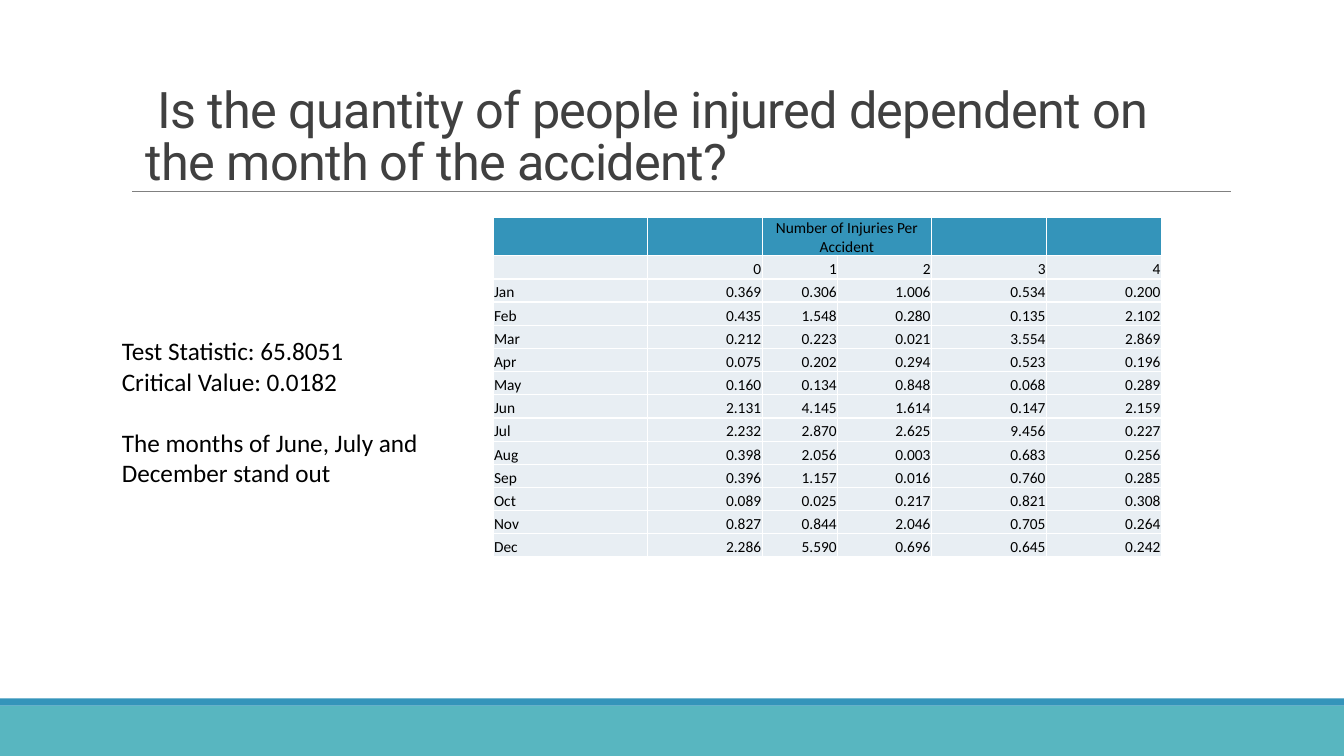
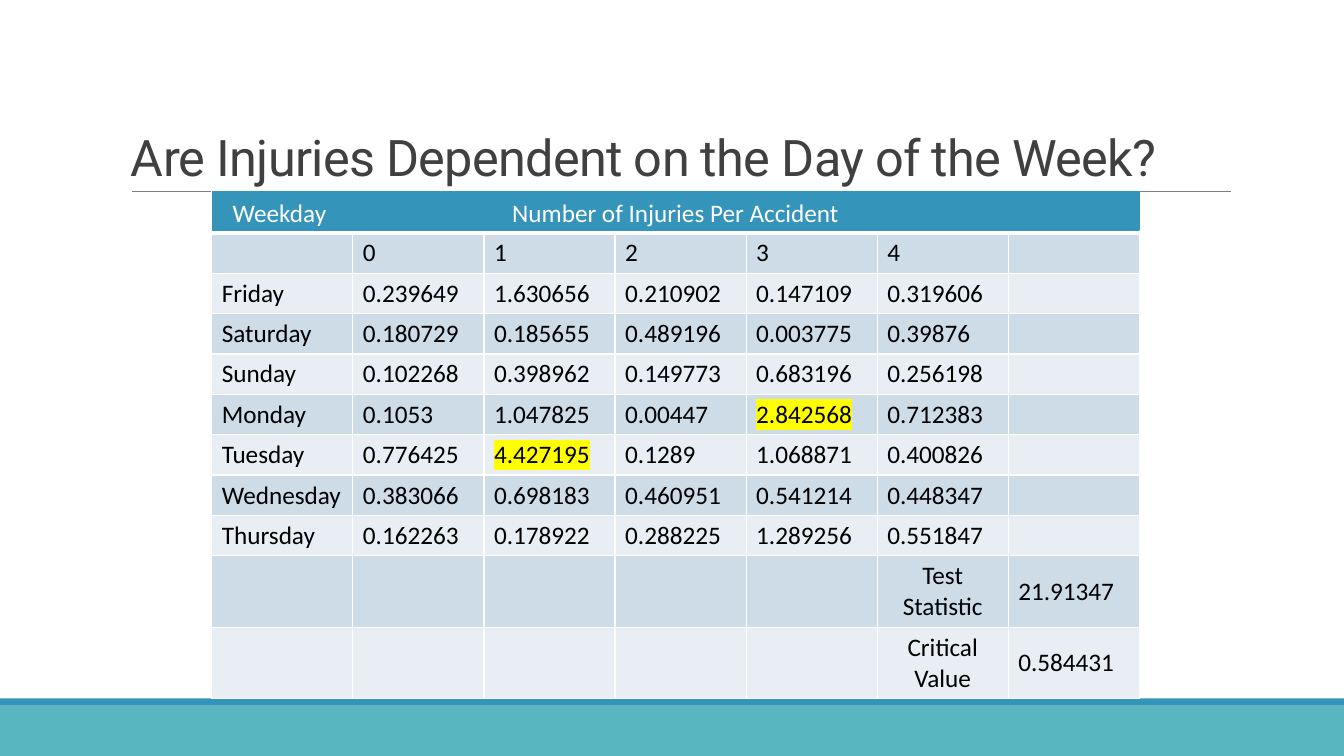
from lxml.etree import SubElement
from pptx import Presentation
from pptx.dml.color import RGBColor
from pptx.enum.shapes import MSO_CONNECTOR, MSO_SHAPE
from pptx.enum.text import MSO_ANCHOR, PP_ALIGN
from pptx.oxml.ns import qn
from pptx.util import Inches, Pt

WHITE = RGBColor(0xFF, 0xFF, 0xFF)
BLACK = RGBColor(0x00, 0x00, 0x00)
TITLE_GRAY = RGBColor(0x40, 0x40, 0x40)
RULE_GRAY = RGBColor(0x80, 0x80, 0x80)
BLUE = RGBColor(0x34, 0x94, 0xBA)
TEAL = RGBColor(0x58, 0xB6, 0xC0)
LIGHT_BAND = RGBColor(0xE8, 0xEE, 0xF3)
DARK_BAND = RGBColor(0xCE, 0xDC, 0xE7)
YELLOW = RGBColor(0xFF, 0xFF, 0x00)

TITLE_FONT = "Roboto"
BODY_FONT = "Calibri"
SLIDE_WIDTH = 13.33
SLIDE_HEIGHT = 7.5
INJURY_HEADING = "Number of Injuries Per Accident"

MONTH_ROWS = [
    ["", "", INJURY_HEADING, "", "", ""],
    ["", "0", "1", "2", "3", "4"],
    ["Jan", "0.369", "0.306", "1.006", "0.534", "0.200"],
    ["Feb", "0.435", "1.548", "0.280", "0.135", "2.102"],
    ["Mar", "0.212", "0.223", "0.021", "3.554", "2.869"],
    ["Apr", "0.075", "0.202", "0.294", "0.523", "0.196"],
    ["May", "0.160", "0.134", "0.848", "0.068", "0.289"],
    ["Jun", "2.131", "4.145", "1.614", "0.147", "2.159"],
    ["Jul", "2.232", "2.870", "2.625", "9.456", "0.227"],
    ["Aug", "0.398", "2.056", "0.003", "0.683", "0.256"],
    ["Sep", "0.396", "1.157", "0.016", "0.760", "0.285"],
    ["Oct", "0.089", "0.025", "0.217", "0.821", "0.308"],
    ["Nov", "0.827", "0.844", "2.046", "0.705", "0.264"],
    ["Dec", "2.286", "5.590", "0.696", "0.645", "0.242"],
]

WEEKDAY_ROWS = [
    ["", "", "", "", "", "", ""],
    ["", "0", "1", "2", "3", "4", ""],
    ["Friday", "0.239649", "1.630656", "0.210902", "0.147109", "0.319606", ""],
    ["Saturday", "0.180729", "0.185655", "0.489196", "0.003775", "0.39876", ""],
    ["Sunday", "0.102268", "0.398962", "0.149773", "0.683196", "0.256198", ""],
    ["Monday", "0.1053", "1.047825", "0.00447", "2.842568", "0.712383", ""],
    ["Tuesday", "0.776425", "4.427195", "0.1289", "1.068871", "0.400826", ""],
    ["Wednesday", "0.383066", "0.698183", "0.460951", "0.541214", "0.448347", ""],
    ["Thursday", "0.162263", "0.178922", "0.288225", "1.289256", "0.551847", ""],
    ["", "", "", "", "", "Test Statistic", "21.91347"],
    ["", "", "", "", "", "Critical Value", "0.584431"],
]
HIGHLIGHTED_VALUES = {"2.842568", "4.427195"}


def format_run(run, size, color, font_name=BODY_FONT, highlight=None):
    run.font.size = Pt(size)
    run.font.color.rgb = color
    if highlight is not None:
        marker = SubElement(run.font._element, qn("a:highlight"))
        SubElement(marker, qn("a:srgbClr")).set("val", str(highlight))
    run.font.name = font_name


def add_text(slide, lines, left, top, width, height, size=18, color=BLACK,
             font_name=BODY_FONT, alignment=PP_ALIGN.LEFT):
    box = slide.shapes.add_textbox(Inches(left), Inches(top), Inches(width), Inches(height))
    text_frame = box.text_frame
    text_frame.word_wrap = True
    text_frame.text = "\n".join(lines)
    for paragraph in text_frame.paragraphs:
        paragraph.alignment = alignment
        for run in paragraph.runs:
            format_run(run, size, color, font_name)
    return text_frame


def add_title(slide, text, left, top, width):
    text_frame = add_text(slide, [text], left, top, width, 1.59, 36, TITLE_GRAY, TITLE_FONT)
    text_frame.vertical_anchor = MSO_ANCHOR.BOTTOM
    paragraph = text_frame.paragraphs[0]
    paragraph.line_spacing = 0.85
    paragraph.runs[0].font._element.set("spc", "-50")


def add_band(slide, left, top, width, height, color):
    band = slide.shapes.add_shape(
        MSO_SHAPE.RECTANGLE, Inches(left), Inches(top), Inches(width), Inches(height))
    band.shadow.inherit = False
    band.fill.solid()
    band.fill.fore_color.rgb = color
    band.line.fill.background()
    return band


def add_title_rule(slide):
    rule = slide.shapes.add_connector(
        MSO_CONNECTOR.STRAIGHT, Inches(1.31), Inches(1.9), Inches(12.21), Inches(1.9))
    rule.line.color.rgb = RULE_GRAY
    rule.line.width = Pt(0.5)
    SubElement(rule._element.spPr, qn("a:effectLst"))


def add_base_slide(presentation):
    slide = presentation.slides.add_slide(presentation.slide_layouts[6])
    add_band(slide, 0, 7, SLIDE_WIDTH, 0.5, TEAL)
    add_band(slide, 0, 6.93, SLIDE_WIDTH, 0.07, BLUE)
    add_title_rule(slide)
    return slide


def set_borders(cell, top=1, bottom=1):
    properties = cell._tc.get_or_add_tcPr()
    for side, width in (("lnL", 1), ("lnR", 1), ("lnT", top), ("lnB", bottom)):
        border = SubElement(properties, qn(f"a:{side}"))
        border.set("w", str(Pt(width)))
        fill = SubElement(border, qn("a:solidFill"))
        SubElement(fill, qn("a:srgbClr")).set("val", str(WHITE))


def write_cell(cell, text, size, alignment):
    cell.text_frame.text = text
    paragraph = cell.text_frame.paragraphs[0]
    paragraph.alignment = alignment
    highlight = YELLOW if text in HIGHLIGHTED_VALUES else None
    for run in paragraph.runs:
        format_run(run, size, BLACK, highlight=highlight)
    if not text:
        SubElement(paragraph._p, qn("a:endParaRPr")).set("sz", str(size * 100))


def add_data_table(slide, rows, left, top, column_widths, row_heights, size,
                   band_colors, align, anchor, header_rule=1, margins=None):
    frame = slide.shapes.add_table(
        len(rows), len(column_widths), Inches(left), Inches(top),
        Inches(sum(column_widths)), Inches(sum(row_heights)))
    table = frame.table
    table.first_row = False
    table.horz_banding = False
    for column, width in zip(table.columns, column_widths):
        column.width = Inches(width)
    for row_index, values in enumerate(rows):
        table.rows[row_index].height = Inches(row_heights[row_index])
        for column_index, text in enumerate(values):
            cell = table.cell(row_index, column_index)
            set_borders(cell, top=header_rule if row_index == 1 else 1,
                        bottom=header_rule if row_index == 0 else 1)
            cell.fill.solid()
            cell.fill.fore_color.rgb = (
                band_colors[row_index % len(band_colors)] if row_index else BLUE)
            cell.vertical_anchor = anchor
            if margins:
                (cell.margin_left, cell.margin_top,
                 cell.margin_right, cell.margin_bottom) = map(Inches, margins)
            write_cell(cell, text, size, align(row_index, column_index, text))
    return table


def align_month_cell(row_index, column_index, text):
    if row_index == 0:
        return PP_ALIGN.CENTER
    return PP_ALIGN.RIGHT if column_index else PP_ALIGN.LEFT


def align_weekday_cell(row_index, column_index, text):
    return PP_ALIGN.CENTER if " " in text else PP_ALIGN.LEFT


def add_month_slide(presentation):
    slide = add_base_slide(presentation)
    add_title(
        slide,
        " Is the quantity of people injured dependent on the month of the accident? ",
        1.35, 0.35, 10.84)
    findings = add_text(
        slide,
        ["Test Statistic: 65.8051", "Critical Value: 0.0182",
         "The months of June, July and December stand out"],
        1.11, 3.28, 3.78, 1.62)
    findings.paragraphs[2].space_before = Pt(22)
    table = add_data_table(
        slide, MONTH_ROWS, 4.89, 2.16, [1.53, 1.14, 0.75, 0.93, 1.14, 1.14],
        [0.37] + [0.23] * 13, 11, [LIGHT_BAND], align_month_cell,
        MSO_ANCHOR.BOTTOM, margins=(0.01, 0.01, 0.01, 0))
    table.cell(0, 2).merge(table.cell(0, 3))


def add_weekday_slide(presentation):
    slide = add_base_slide(presentation)
    add_title(slide, "Are Injuries Dependent on the Day of the Week?", 1.2, 0.31, 11)
    add_data_table(
        slide, WEEKDAY_ROWS, 2.1, 1.9, [1.4] + [1.3] * 6,
        [0.41] + [0.4] * 8 + [0.71] * 2, 18, [LIGHT_BAND, DARK_BAND],
        align_weekday_cell, MSO_ANCHOR.MIDDLE, header_rule=3)
    header = add_band(slide, 2.11, 1.9, 9.19, 0.38, BLUE)
    header.line.color.rgb = BLUE
    header.line.width = Pt(1.25)
    add_text(slide, [INJURY_HEADING], 4.85, 1.91, 3.7, 0.4,
             color=WHITE, alignment=PP_ALIGN.CENTER)
    add_text(slide, ["Weekday"], 2.21, 1.91, 1.16, 0.4, color=WHITE)


def main():
    presentation = Presentation()
    presentation.slide_width = Inches(SLIDE_WIDTH)
    presentation.slide_height = Inches(SLIDE_HEIGHT)
    add_month_slide(presentation)
    add_weekday_slide(presentation)
    presentation.save("out.pptx")


if __name__ == "__main__":
    main()
